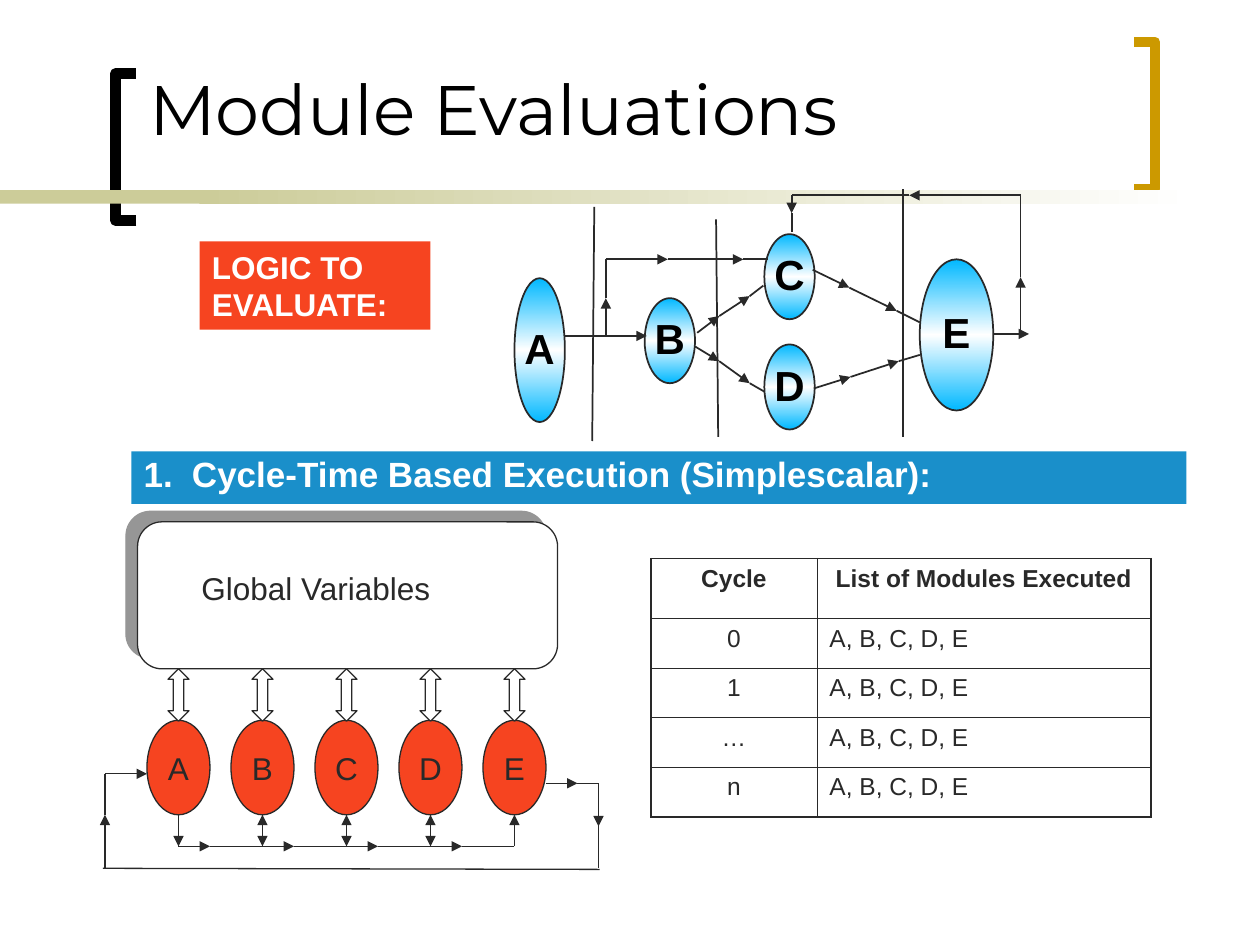
import copy

import lxml.etree
import pptx
import pptx.dml.color
import pptx.enum.shapes
import pptx.enum.text
import pptx.oxml.ns
import pptx.util

presentation = pptx.Presentation()
presentation.slide_width = pptx.util.Inches(10)
presentation.slide_height = pptx.util.Inches(7.5)
slide = presentation.slides.add_slide(presentation.slide_layouts[5])

# Grid of 120 columns by 90 rows; every length below counts square cells
CELL = presentation.slide_width / 120
INK, RED, WHITE, KHAKI, GRAY = "292929", "F64420", "FFFFFF", "CCCC99", "969696"
SKY = ("00B8FF", WHITE, "00B8FF")
rgb = pptx.dml.color.RGBColor.from_string
qn = pptx.oxml.ns.qn
kinds = pptx.enum.shapes.MSO_SHAPE
anchors = pptx.enum.text.MSO_ANCHOR
LEFT, CENTER = pptx.enum.text.PP_ALIGN.LEFT, pptx.enum.text.PP_ALIGN.CENTER


def cells(*counts):
    return [round(count * CELL) for count in counts]


def write(frame, text, size, color, bold=False, name="Arial", frame_format=None, **paragraph_format):
    frame.text = text
    paragraph = frame.paragraphs[0]
    font = paragraph.runs[0].font
    font_format = {"size": pptx.util.Pt(size), "bold": bold, "name": name}
    targets = ((frame, frame_format or {}), (paragraph, paragraph_format), (font, font_format))
    for target, values in targets:
        for attribute, value in values.items():
            setattr(target, attribute, value)
    font.color.rgb = rgb(color)
    return paragraph


# Title
title = slide.shapes.title
title.left, title.top, title.width, title.height = cells(13, 4, 94, 10.8)
write(title.text_frame, "Module Evaluations", 40, "000000", name="Montserrat", alignment=LEFT,
      frame_format={"vertical_anchor": anchors.BOTTOM, "word_wrap": True,
                    "auto_size": pptx.enum.text.MSO_AUTO_SIZE.NONE})

# Brackets around the title
brackets = [("000000", [(13, 21.4), (11, 21.4), (11, 7.3), (13, 7.3)]),
            ("CC9900", [(108.5, 3.6), (110.4, 3.6), (110.4, 17.6), (108.5, 17.6)])]

# Shapes: kind, place, fill, line colour, line width, label, label format
middle = {"vertical_anchor": anchors.MIDDLE, "word_wrap": False}
top = {"vertical_anchor": anchors.TOP, "word_wrap": True}
module_label = dict(size=24, color="000000", bold=True, alignment=CENTER,
                    line_spacing=0.93, frame_format=middle)
step_label = dict(size=18, color=INK, alignment=CENTER, frame_format=middle)
heading_label = dict(size=18, color=WHITE, bold=True, alignment=LEFT, frame_format=top)
banner_label = {**heading_label, "size": 20, "line_spacing": 0.9}

shapes = [
    (kinds.RECTANGLE, (0, 18.1, 28, 1.3), KHAKI, None, 0, "", {}),
    (kinds.RECTANGLE, (19, 18.1, 95, 1.3), (KHAKI, WHITE), None, 0, "", {}),
    (kinds.RECTANGLE, (12.5, 43, 100.5, 5), "1A8FCA", None, 0,
     "1.\tCycle-Time Based Execution (Simplescalar):", banner_label),
    (kinds.RECTANGLE, (19, 23, 22, 8.4), RED, None, 0, "LOGIC TO EVALUATE:", heading_label),
    (kinds.ROUNDED_RECTANGLE, (12, 48.7, 40, 14), GRAY, GRAY, 0.75, "", {}),
    (kinds.ROUNDED_RECTANGLE, (13.1, 49.7, 40, 14), WHITE, INK, 0.75, "", {}),
]
modules = {"A": (49, 26.5, 4.8, 13.7), "B": (61.4, 28.4, 4.8, 8.1), "C": (72.8, 22.3, 4.8, 8.1),
           "D": (72.8, 32.8, 4.8, 8.1), "E": (87.6, 24.7, 7, 14.4)}
for column, (letter, place) in enumerate(modules.items()):
    shapes += [
        (kinds.OVAL, place, SKY, INK, 1, letter, module_label),
        (kinds.OVAL, (14 + 8 * column, 68.6, 6, 9), RED, INK, 0.75, letter, step_label),
        (kinds.UP_DOWN_ARROW, (16 + 8 * column, 63.7, 2, 5), WHITE, INK, 0.75, "", {}),
    ]

for color, points in brackets:
    builder = slide.shapes.build_freeform(*points[0], scale=CELL)
    builder.add_line_segments(points[1:], close=False)
    bracket = builder.convert_to_shape()
    bracket.shadow.inherit = False
    bracket.fill.background()
    bracket.line.color.rgb = rgb(color)
    bracket.line.width = pptx.util.Pt(6)

for kind, place, fill, line_color, line_width, label, label_format in shapes:
    shape = slide.shapes.add_shape(kind, *cells(*place))
    shape.shadow.inherit = False
    if isinstance(fill, tuple):
        shape.fill.gradient()
        shape.fill.gradient_angle = 90 if fill == SKY else 0
        first_stop = shape.fill.gradient_stops[0]._gs
        for extra in fill[2:]:
            first_stop.addnext(copy.deepcopy(first_stop))
        for index, stop in enumerate(shape.fill.gradient_stops):
            stop.position = index / (len(fill) - 1)
            stop.color.rgb = rgb(fill[index])
    else:
        shape.fill.solid()
        shape.fill.fore_color.rgb = rgb(fill)
    if line_color:
        shape.line.color.rgb = rgb(line_color)
        shape.line.width = pptx.util.Pt(line_width)
    else:
        shape.line.fill.background()
    if label:
        paragraph = write(shape.text_frame, label, **label_format)
        if label_format is banner_label:
            indent = cells(4.6)[0]
            properties = paragraph._p.get_or_add_pPr()
            properties.set("marL", str(indent))
            properties.set("indent", str(-indent))

caption = slide.shapes.add_textbox(*cells(18, 53.6, 29, 4.8))
write(caption.text_frame, "Global Variables", 18, INK, frame_format=top)

# Line chains: width, one mark per segment (">" ends in an arrowhead), points
chains = [
    (1, "-", [(86, 18), (86, 41.6)]),
    (1, "-", [(68.2, 20.9), (68.4, 41.6)]),
    (1, "-", [(56.6, 19.7), (56.4, 42)]),
    (1, ">", [(94.7, 31.8), (98, 31.8)]),
    (1, ">->->-", [(97.2, 32), (97.2, 26.4), (97.2, 18.6), (86.6, 18.6),
                   (75.4, 18.6), (75.4, 20.3), (75.4, 22.1)]),
    (1, ">", [(53.8, 32), (61.6, 32)]),
    (1, ">->>-", [(57.7, 32), (57.7, 28.4), (57.7, 24.7), (63.6, 24.7),
                  (70.8, 24.7), (73.1, 24.7)]),
    (1, ">>-", [(66.4, 31.7), (68.5, 30.1), (71.4, 28.2), (72.7, 27.2)]),
    (1, ">>-", [(66.2, 33), (68.5, 34.4), (71.4, 36.5), (72.8, 37.3)]),
    (1, ">>-", [(77.4, 25.7), (80.9, 27.4), (85.4, 29.6), (87.6, 30.7)]),
    (1, ">>-", [(77.5, 37), (81, 35.9), (85.6, 34.4), (87.6, 33.8)]),
    (0.75, ">->-", [(52, 74.6), (55, 74.6), (57, 74.6), (57, 78.7), (57, 82.7)]),
    (0.75, ">->", [(10, 82.7), (10, 77.6), (10, 73.7), (14, 73.7)]),
    (0.75, "-", [(9.8, 82.7), (57.1, 82.8)]),
]
for x in range(17, 49, 8):
    chains.append((0.75, ">>->", [(x, 77.6), (x, 80.6), (x + 3, 80.6), (x + 8, 80.6), (x + 8, 77.6)]))

for width, marks, points in chains:
    for mark, start, end in zip(marks, points, points[1:]):
        connector = slide.shapes.add_connector(
            pptx.enum.shapes.MSO_CONNECTOR.STRAIGHT, *cells(*start, *end))
        connector.line.color.rgb = rgb(INK)
        connector.line.width = pptx.util.Pt(width)
        if mark == ">":
            lxml.etree.SubElement(connector.line._get_or_add_ln(), qn("a:tailEnd"), type="triangle")
        lxml.etree.SubElement(connector._element.spPr, qn("a:effectLst"))

# Table of executed modules
rows = [("Cycle", "List of Modules Executed")]
rows += [(cycle, "A, B, C, D, E") for cycle in ("0", "1", "…", "n")]
table = slide.shapes.add_table(len(rows), 2, *cells(62, 53.2, 47.6, 24.6)).table
table.first_row = table.horz_banding = False
for column, width in zip(table.columns, cells(15.8, 31.8)):
    column.width = width
for row, height in zip(table.rows, cells(5.7, *[4.73] * 4)):
    row.height = height
for row_index, row in enumerate(rows):
    for column_index, text in enumerate(row):
        cell = table.cell(row_index, column_index)
        header = row_index == 0
        write(cell.text_frame, text, 14, INK, bold=header,
              alignment=CENTER if header or column_index == 0 else LEFT)
        outer_edges = {"lnL": column_index == 0, "lnR": column_index == 1,
                       "lnT": header, "lnB": row_index == len(rows) - 1}
        for edge, outer in outer_edges.items():
            border = lxml.etree.SubElement(cell._tc.get_or_add_tcPr(), qn("a:" + edge),
                                           w=str(pptx.util.Pt(1.08 if outer else 0.45)))
            border_fill = lxml.etree.SubElement(border, qn("a:solidFill"))
            lxml.etree.SubElement(border_fill, qn("a:srgbClr"), val=INK)
        cell.fill.background()

presentation.save("out.pptx")
